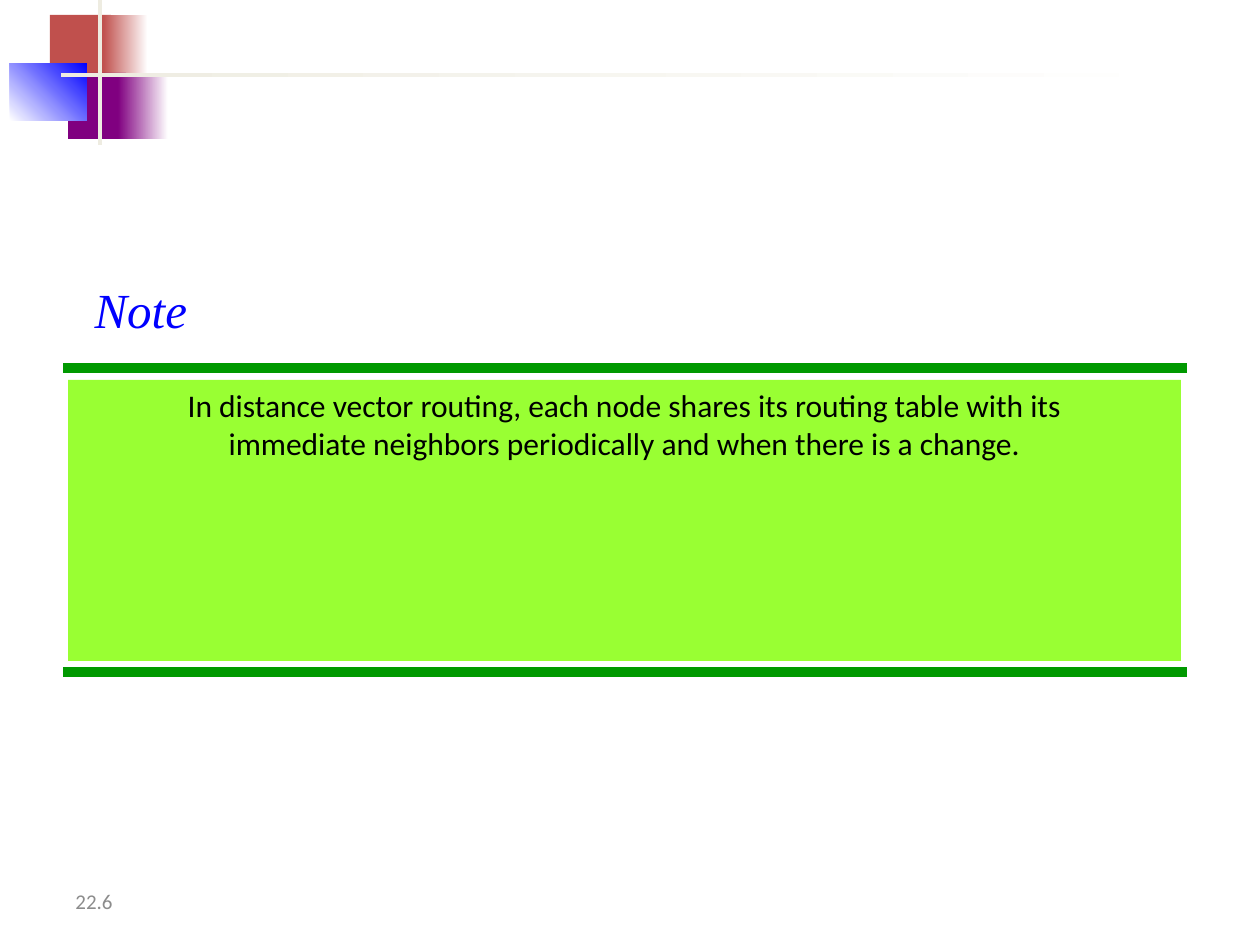
from dataclasses import dataclass
from typing import Optional

from lxml.etree import SubElement
from pptx import Presentation
from pptx.dml.color import RGBColor
from pptx.enum.shapes import MSO_CONNECTOR, MSO_SHAPE
from pptx.enum.text import MSO_ANCHOR, MSO_AUTO_SIZE, PP_ALIGN
from pptx.oxml.ns import qn
from pptx.shapes.autoshape import Shape
from pptx.slide import Slide
from pptx.text.text import TextFrame
from pptx.util import Emu, Pt

EMU_PER_PX = 914400 / 126
TITLE_ONLY_LAYOUT = 5

WHITE = RGBColor(0xFF, 0xFF, 0xFF)
BLACK = RGBColor(0x00, 0x00, 0x00)
RED = RGBColor(0xC0, 0x50, 0x4D)
PURPLE = RGBColor(0x80, 0x00, 0x80)
BLUE = RGBColor(0x00, 0x00, 0xFF)
CREAM = RGBColor(0xEE, 0xEC, 0xE1)
GREEN = RGBColor(0x00, 0x99, 0x00)
LIME = RGBColor(0x99, 0xFF, 0x33)
GREY = RGBColor(0x8C, 0x8C, 0x8C)


@dataclass(frozen=True)
class Box:
    left: int
    top: int
    width: int
    height: int
    color: RGBColor
    fade_to: Optional[RGBColor] = None
    angle: int = 0


@dataclass(frozen=True)
class TextStyle:
    font: str
    size: int
    color: RGBColor
    italic: bool = False
    align: PP_ALIGN = PP_ALIGN.LEFT


ORNAMENT = (
    Box(50, 15, 61, 66, RED),
    Box(103, 15, 45, 66, RED, WHITE),
    Box(68, 73, 58, 66, PURPLE),
    Box(118, 73, 50, 66, PURPLE, WHITE),
    Box(10, 63, 77, 58, WHITE, BLUE, 45),
    Box(98, 0, 4, 145, CREAM),
    Box(61, 73, 1134, 4, CREAM, WHITE),
)
NOTE_PANEL = Box(68, 380, 1113, 281, LIME)
RULE_LEFT, RULE_RIGHT = 63, 1187
RULE_TOPS = (368, 672)

TITLE_STYLE = TextStyle("Times New Roman", 28, BLUE, italic=True)
NOTE_STYLE = TextStyle("Calibri", 18, BLACK, align=PP_ALIGN.CENTER)
NUMBER_STYLE = TextStyle("Calibri", 12, GREY)
NOTE_LINES = (
    "In distance vector routing, each node shares its routing table with its",
    "immediate neighbors periodically and when there is a change.",
)


def px(value: int) -> Emu:
    """Turn pixels into EMU."""
    return Emu(round(value * EMU_PER_PX))


def draw_box(slide: Slide, box: Box) -> Shape:
    """Draw a borderless rectangle with a solid or fading fill."""
    shape = slide.shapes.add_shape(
        MSO_SHAPE.RECTANGLE, px(box.left), px(box.top), px(box.width), px(box.height)
    )
    shape.shadow.inherit = False
    shape.line.fill.background()
    if box.fade_to is None:
        shape.fill.solid()
        shape.fill.fore_color.rgb = box.color
    else:
        shape.fill.gradient()
        shape.fill.gradient_angle = box.angle
        for stop, color in zip(shape.fill.gradient_stops, (box.color, box.fade_to)):
            stop.color.rgb = color
    return shape


def draw_rule(slide: Slide, top: int) -> None:
    """Draw a thick horizontal green line."""
    rule = slide.shapes.add_connector(
        MSO_CONNECTOR.STRAIGHT, px(RULE_LEFT), px(top), px(RULE_RIGHT), px(top)
    )
    rule.line.color.rgb = GREEN
    rule.line.width = Pt(6)
    SubElement(rule.element.spPr, qn("a:effectLst"))


def write_lines(
    frame: TextFrame, lines: tuple[str, ...], style: TextStyle, anchor: MSO_ANCHOR
) -> None:
    """Write one styled paragraph for each line."""
    frame.auto_size = MSO_AUTO_SIZE.NONE
    frame.vertical_anchor = anchor
    for index, line in enumerate(lines):
        paragraph = frame.add_paragraph() if index else frame.paragraphs[0]
        paragraph.alignment = style.align
        run = paragraph.add_run()
        run.text = line
        run.font.name = style.font
        run.font.size = Pt(style.size)
        run.font.italic = style.italic
        run.font.color.rgb = style.color


def main() -> None:
    """Build and save the note slide."""
    presentation = Presentation()
    presentation.slide_width, presentation.slide_height = px(1260), px(945)
    slide = presentation.slides.add_slide(presentation.slide_layouts[TITLE_ONLY_LAYOUT])

    number = slide.shapes.add_textbox(px(63), px(876), px(294), px(50))
    number.text_frame.word_wrap = True
    write_lines(number.text_frame, ("22.6",), NUMBER_STYLE, MSO_ANCHOR.MIDDLE)

    for box in ORNAMENT:
        draw_box(slide, box)
    for top in RULE_TOPS:
        draw_rule(slide, top)

    panel = draw_box(slide, NOTE_PANEL)
    write_lines(panel.text_frame, NOTE_LINES, NOTE_STYLE, MSO_ANCHOR.TOP)

    title = slide.shapes.title
    title.left, title.top, title.width, title.height = px(82), px(273), px(121), px(72)
    title.text_frame.word_wrap = False
    write_lines(title.text_frame, ("Note",), TITLE_STYLE, MSO_ANCHOR.TOP)

    presentation.save("out.pptx")


if __name__ == "__main__":
    main()
